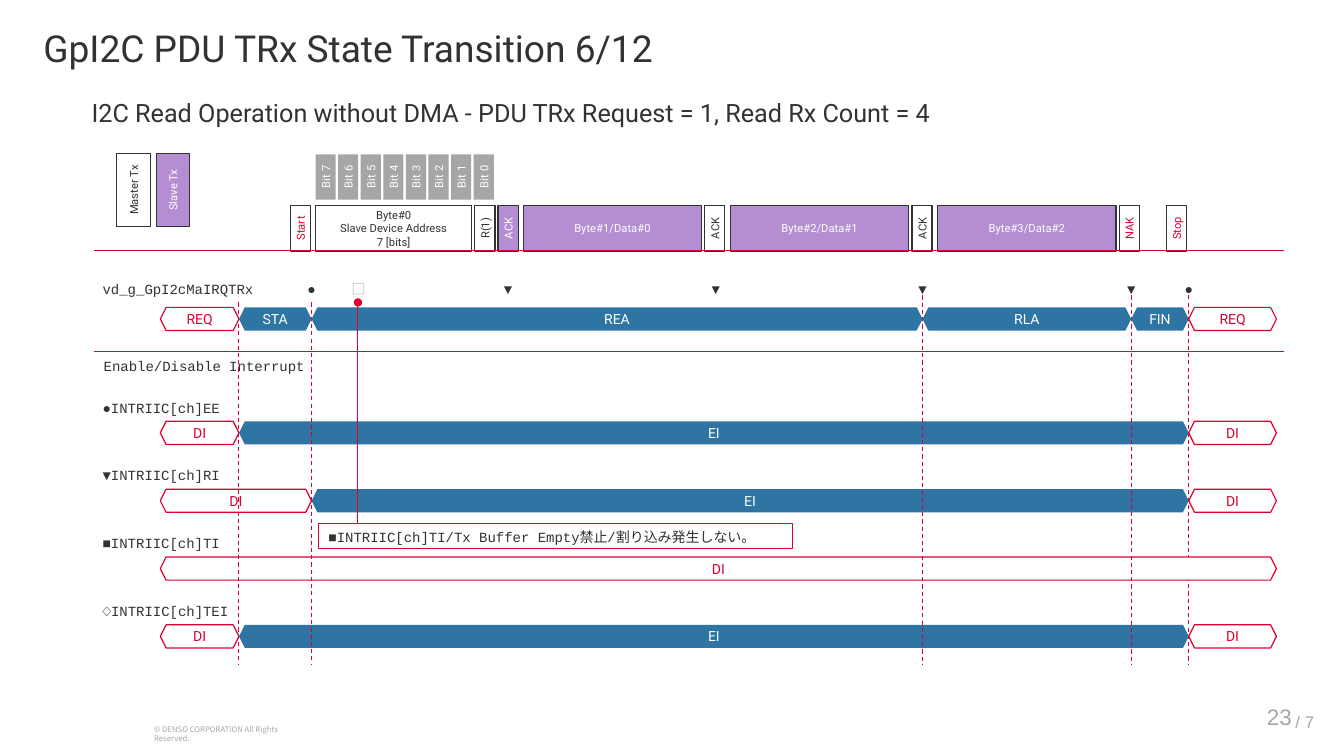
from lxml.etree import SubElement
from pptx import Presentation
from pptx.dml.color import RGBColor
from pptx.enum.dml import MSO_LINE
from pptx.enum.shapes import MSO_CONNECTOR, MSO_SHAPE
from pptx.enum.text import MSO_ANCHOR, MSO_AUTO_SIZE, PP_ALIGN
from pptx.oxml.ns import qn
from pptx.util import Inches, Pt

RED, DARK, WHITE, BLUE = "DC0032", "323232", "FFFFFF", "2F75A3"
VIOLET, GRAY = "B48DD2", "A6A6A6"
SANS, MONO, CJK = "Roboto", "Courier New", "Noto Sans CJK JP"

TITLE = "GpI2C PDU TRx State Transition 6/12"
SUB = "I2C Read Operation without DMA - PDU TRx Request = 1, Read Rx Count = 4"
NOTE = "■INTRIIC[ch]TI/Tx Buffer Empty禁止/割り込み発生しない。"

# Time columns at which states change
COLS = [1.59, 2.37, 3.09, 9.15, 11.22, 11.79, 12.66]
LEFT, RIGHT = 0.93, 12.74
BAR = 0.23
FOOT = 6.6

# Each state: name, first column, last column
PHASES = [("REQ", 0, 1), ("STA", 1, 2), ("REA", 2, 3),
          ("RLA", 3, 4), ("FIN", 4, 5), ("REQ", 5, 6)]
WIDE = [("DI", 0, 1), ("EI", 1, 5), ("DI", 5, 6)]
IRQS = [
    ("●INTRIIC[ch]EE", WIDE),
    ("▼INTRIIC[ch]RI", [("DI", 0, 2), ("EI", 2, 5), ("DI", 5, 6)]),
    ("■INTRIIC[ch]TI", [("DI", 0, 6)]),
    ("◇INTRIIC[ch]TEI", WIDE),
]
IDLE = ("REQ", "DI")
IRQ_TOP, IRQ_STEP = 4.18, 0.673

# Each mark: symbol, centre
MARKS = [("●", 3.09), ("▼", 5.04), ("▼", 7.1), ("▼", 9.15),
         ("▼", 11.22), ("●", 11.79)]

# Each data byte: name, answer, colour of the answer
DATA = [("Byte#1/Data#0", "ACK", DARK), ("Byte#2/Data#1", "ACK", DARK),
        ("Byte#3/Data#2", "NAK", RED)]
DATA_X, DATA_STEP, DATA_W = 5.19, 2.055, 1.77
BUS_Y, CELL_H, CELL_W = 2.04, 0.45, 0.2
# Each narrow cell on the bus: name, left, fill, text colour
CELLS = [("Start", 2.88, WHITE, RED), ("Stop", 11.57, WHITE, RED),
         ("R(1)", 4.71, WHITE, DARK), ("ACK", 4.94, VIOLET, WHITE)]
BIT_X, BIT_STEP, BIT_Y = 3.13, 0.224, 1.53
KEYS = [("Master Tx", 1.16, WHITE, DARK), ("Slave Tx", 1.55, VIOLET, WHITE)]

deck = Presentation()
deck.slide_width, deck.slide_height = Inches(13.33), Inches(7.5)
slide = deck.slides.add_slide(deck.slide_layouts[5])
shapes = slide.shapes


def rgb(code):
    return RGBColor.from_string(code)


def write(shape, text, size, font, color, align=PP_ALIGN.LEFT,
          anchor=MSO_ANCHOR.TOP, inset=(0.1, 0.05), wrap=True, space=None):
    frame = shape.text_frame
    frame.text = text
    frame.word_wrap, frame.vertical_anchor = wrap, anchor
    frame.auto_size = MSO_AUTO_SIZE.NONE
    frame.margin_left = frame.margin_right = Inches(inset[0])
    frame.margin_top = frame.margin_bottom = Inches(inset[1])
    for para in frame.paragraphs:
        para.alignment = align
        if space:
            para.line_spacing = space
        para.font.size, para.font.name = Pt(size), font
        para.font.color.rgb = rgb(color)


def label(text, x, y, w, h=0.27, size=10, font=MONO, color=DARK, **look):
    box = shapes.add_textbox(Inches(x), Inches(y), Inches(w), Inches(h))
    write(box, text, size, font, color, **look)


def block(kind, x, y, w, h, fill=None, edge=None, width=0.85):
    shape = shapes.add_shape(kind, Inches(x), Inches(y), Inches(w), Inches(h))
    shape.shadow.inherit = False
    if fill:
        shape.fill.solid()
        shape.fill.fore_color.rgb = rgb(fill)
    else:
        shape.fill.background()
    if edge:
        shape.line.color.rgb = rgb(edge)
        shape.line.width = Pt(width)
    else:
        shape.line.fill.background()
    return shape


def cell(text, x, y, w, h, fill, color, edge=DARK, turn=False):
    """Bus cell; a turned one reads upwards within the same bounds."""
    if turn:
        x, y, w, h = x + (w - h) / 2, y + (h - w) / 2, h, w
    shape = block(MSO_SHAPE.RECTANGLE, x, y, w, h, fill, edge)
    shape.rotation = 270 if turn else 0
    write(shape, text, 8, SANS, color, PP_ALIGN.CENTER, MSO_ANCHOR.MIDDLE, (0, 0))


def states(row, y):
    for name, first, last in row:
        idle = name in IDLE
        shape = block(MSO_SHAPE.HEXAGON, COLS[first], y, COLS[last] - COLS[first],
                      BAR, WHITE if idle else BLUE, RED if idle else None)
        write(shape, name, 10, SANS, RED if idle else WHITE, PP_ALIGN.CENTER,
              MSO_ANCHOR.MIDDLE, (0, 0))


def rule(x1, y1, x2, y2, dash=False):
    line = shapes.add_connector(MSO_CONNECTOR.STRAIGHT, Inches(x1), Inches(y1),
                                Inches(x2), Inches(y2))
    line.line.color.rgb = rgb(RED)
    line.line.width = Pt(0.75)
    if dash:
        line.line.dash_style = MSO_LINE.DASH
    SubElement(line._element.spPr, qn("a:effectLst"))
    return line


def drop(col, top):
    rule(COLS[col], top, COLS[col], FOOT, dash=True)


# Headings and footer
title = shapes.title
title.left, title.top = 0, Inches(0.28)
title.width, title.height = Inches(11.82), Inches(0.45)
write(title, TITLE, 26.5, SANS, DARK, anchor=MSO_ANCHOR.MIDDLE, space=0.9)
title.text_frame.margin_left = Inches(0.43)
label(SUB, 0.81, 0.86, 8.87, 0.36, 18, SANS, inset=(0.1, 0), space=1.35)
label("© DENSO CORPORATION All Rights Reserved.", 1.43, 7.14, 1.78, 0.19, 5.5, CJK, GRAY)
label("23", 12.2, 6.93, 0.71, 0.35, 16, "Arial", GRAY, align=PP_ALIGN.RIGHT,
      anchor=MSO_ANCHOR.MIDDLE)
label("/ 7", 12.75, 7.02, 0.39, 0.28, 12, "Arial", GRAY, anchor=MSO_ANCHOR.MIDDLE,
      wrap=False)

# Interrupt rows
drop(5, 2.93)
label("Enable/Disable Interrupt", LEFT, 3.5, 2.65)
for i, (name, row) in enumerate(IRQS):
    y = IRQ_TOP + i * IRQ_STEP
    label(name, 0.92, y - 0.27, 1.66)
    states(row, y)
rule(LEFT, 3.49, RIGHT, 3.49)
for col, top in [(2, 3), (4, 2.86), (3, 2.86)]:
    drop(col, top)

# Bus
for i in range(8):
    cell(f"Bit {7 - i}", BIT_X + i * BIT_STEP, BIT_Y, CELL_W, CELL_H, GRAY, WHITE,
         edge=None, turn=True)
cell("Byte#0\nSlave Device Address\n7 [bits]", BIT_X, BUS_Y, 1.55, CELL_H, WHITE, DARK)
for name, x, fill, color in CELLS:
    cell(name, x, BUS_Y, CELL_W, CELL_H, fill, color, turn=True)
for i, (name, reply, color) in enumerate(DATA):
    x = DATA_X + i * DATA_STEP
    cell(name, x, BUS_Y, DATA_W, CELL_H, VIOLET, WHITE)
    cell(reply, x + 1.8, BUS_Y, CELL_W, CELL_H, WHITE, color, turn=True)
rule(LEFT, 2.49, RIGHT, 2.49)
for name, x, fill, color in KEYS:
    cell(name, x, 1.52, 0.33, 0.73, fill, color, turn=True)

# Request states
label("vd_g_GpI2cMaIRQTRx", 0.92, 2.73, 1.77)
for sign, mid in MARKS:
    label(sign, mid - 0.16, 2.73, 0.32, align=PP_ALIGN.CENTER)
states(PHASES, 3.05)
drop(1, 3)

# Callout
label("□", 3.39, 2.73, 0.32, font=CJK, color=GRAY, align=PP_ALIGN.CENTER)
note = block(MSO_SHAPE.RECTANGLE, 3.16, 5.19, 4.7, 0.25, edge=RED, width=0.75)
write(note, NOTE, 10, MONO, DARK)
lead = rule(3.55, 5.19, 3.55, 3)
SubElement(lead.line._get_or_add_ln(), qn("a:tailEnd"), type="oval")

deck.save("out.pptx")
